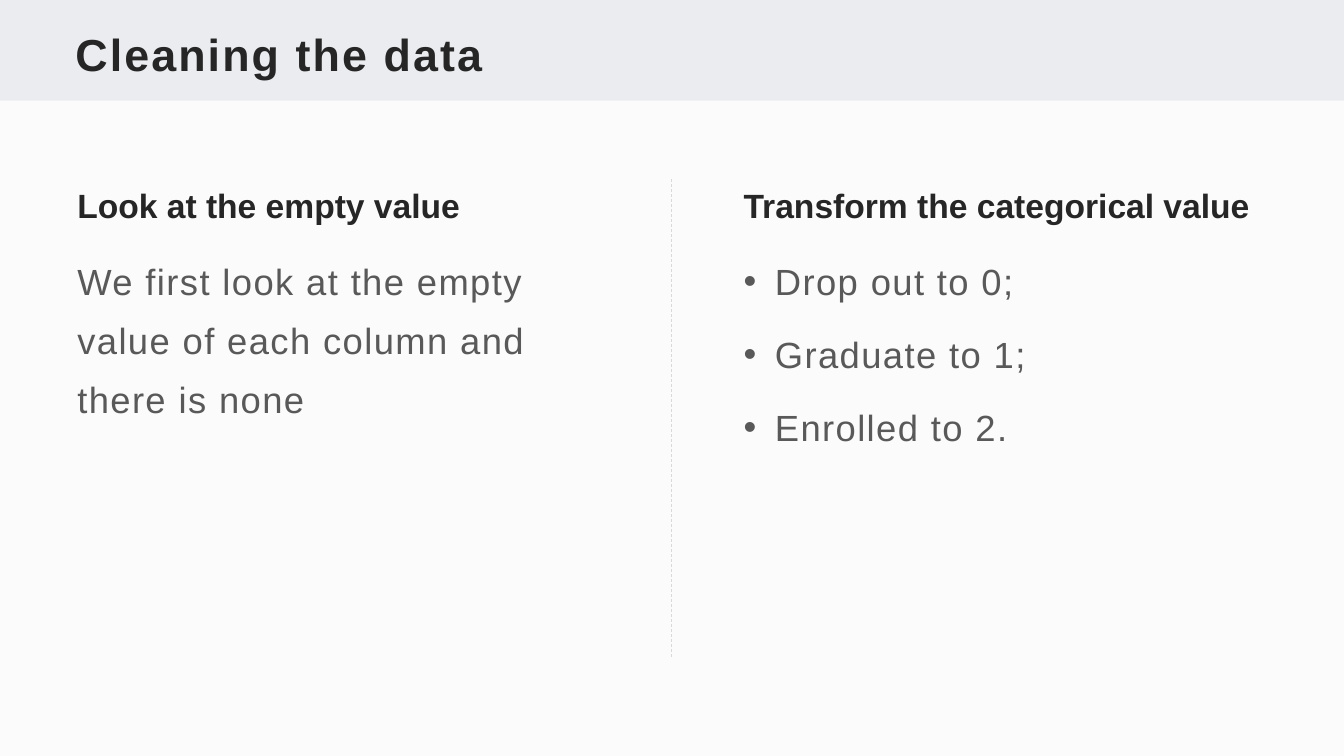
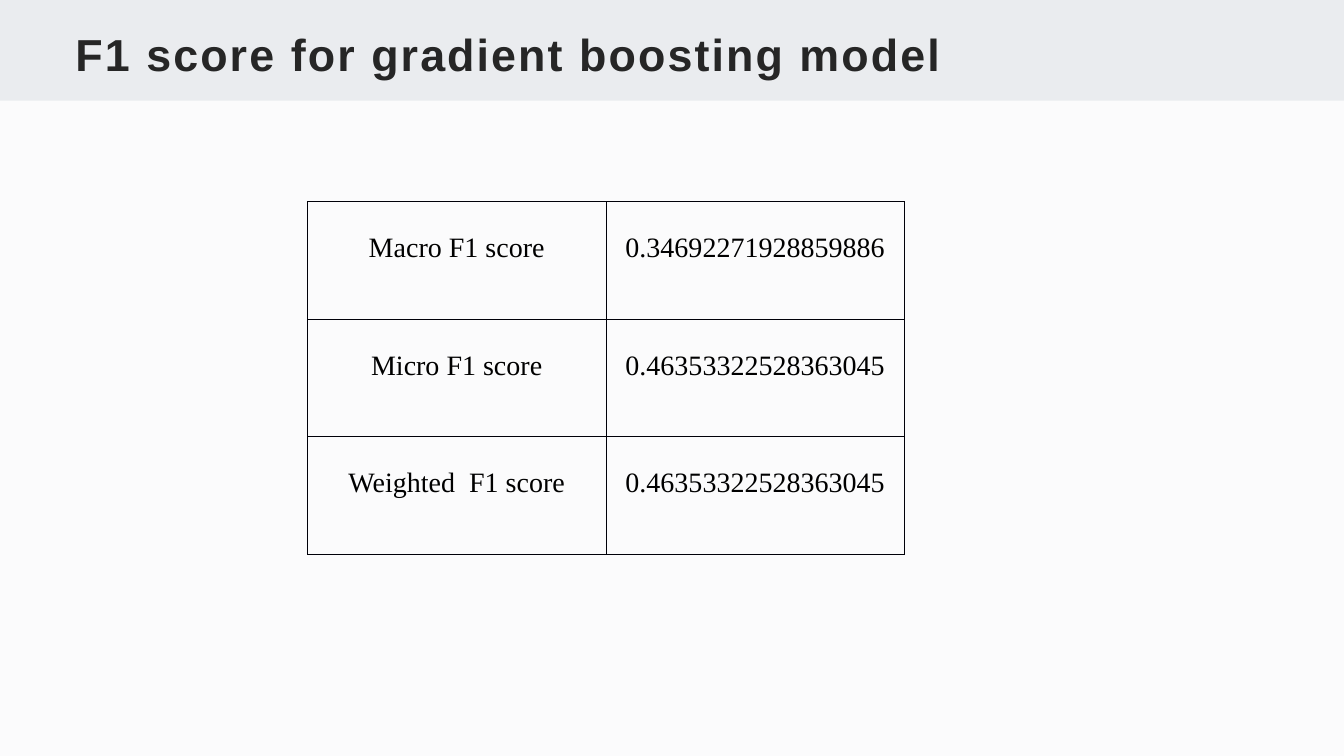
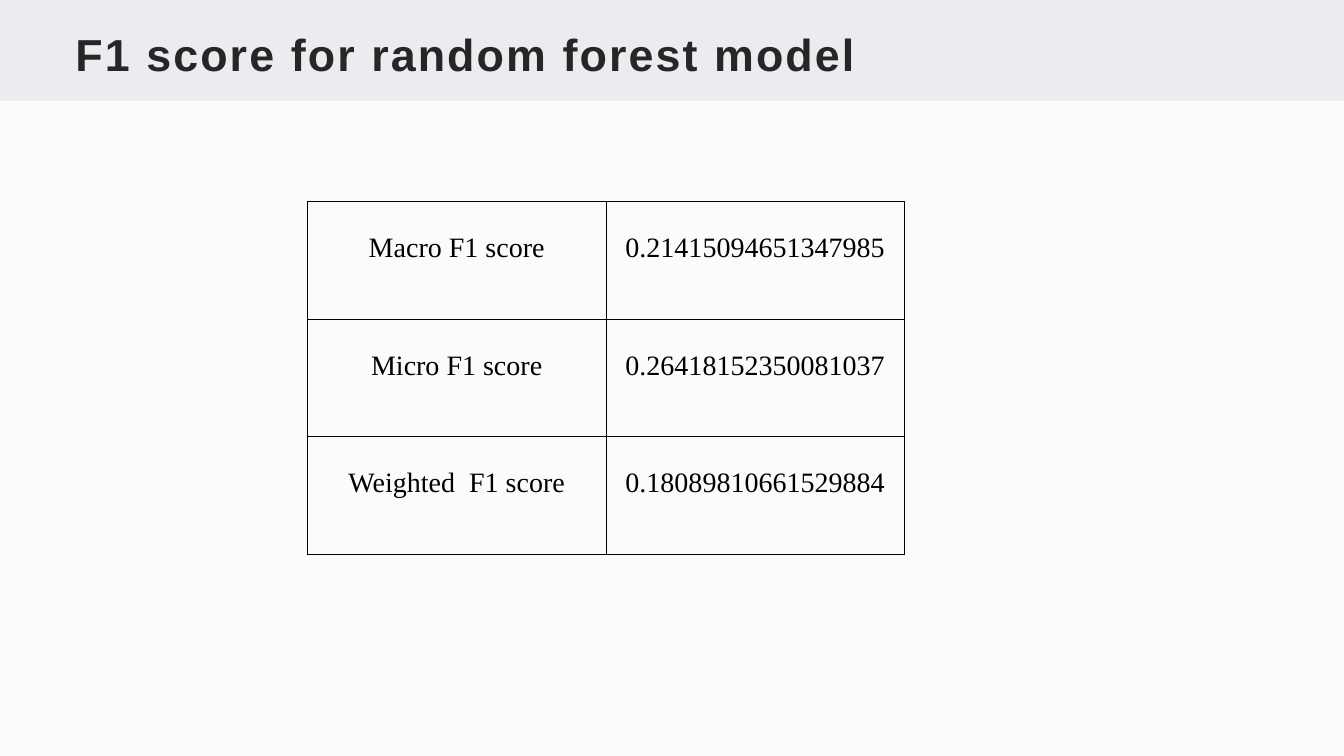
from lxml.etree import SubElement
from pptx import Presentation
from pptx.dml.color import RGBColor
from pptx.enum.dml import MSO_LINE
from pptx.enum.shapes import MSO_CONNECTOR, MSO_SHAPE
from pptx.enum.text import MSO_ANCHOR, PP_ALIGN
from pptx.oxml.ns import qn
from pptx.util import Cm, Pt

BACKGROUND, BAND, RULE = "FBFBFC", "EAECEF", "D9D9D9"
DARK, GREY, BLACK, BORDER = "262626", "595959", "000000", "000008"


def rgb(value):
    return RGBColor.from_string(value)


def write(p, text, size, color, font="Arial", bold=False, spacing=0):
    r = p.add_run()
    r.text = text
    r.font.name = font
    r.font.size = Pt(size)
    r.font.bold = bold
    r.font.color.rgb = rgb(color)
    if spacing:
        r.font._element.set("spc", str(int(spacing * 100)))


prs = Presentation()
prs.slide_width, prs.slide_height = Cm(33.87), Cm(19.05)
fill = prs.slide_master.background.fill
fill.solid()
fill.fore_color.rgb = rgb(BACKGROUND)

titles = [
    "Cleaning the data",
    "F1 score for gradient boosting model",
    "F1 score for random forest model",
]
slides = []
for title in titles:
    s = prs.slides.add_slide(prs.slide_layouts[6])
    slides.append(s)
    sp = s.shapes.add_shape(MSO_SHAPE.RECTANGLE, 0, 0, prs.slide_width, Cm(2.54))
    sp.shadow.inherit = False
    sp.fill.solid()
    sp.fill.fore_color.rgb = rgb(BAND)
    sp.line.fill.background()
    tf = s.shapes.add_textbox(Cm(1.7), Cm(0.43), Cm(30.48), Cm(1.7)).text_frame
    tf.word_wrap = True
    tf.vertical_anchor = MSO_ANCHOR.BOTTOM
    tf.margin_left = tf.margin_right = Cm(0.2)
    tf.margin_top = tf.margin_bottom = Cm(0.1)
    write(tf.paragraphs[0], title, 32, DARK, bold=True, spacing=1.5)

s = slides[0]
columns = [
    (1.7, "Look at the empty value", False,
     ["We first look at the empty value of each column and there is none"]),
    (18.49, "Transform the categorical value", True,
     ["Drop out to 0;", "Graduate to 1;", "Enrolled to 2."]),
]
for left, heading, bulleted, lines in columns:
    tf = s.shapes.add_textbox(Cm(left), Cm(4.52), Cm(13.67), Cm(1.27)).text_frame
    tf.word_wrap = True
    tf.vertical_anchor = MSO_ANCHOR.BOTTOM
    write(tf.paragraphs[0], heading, 24, DARK, bold=True)

    tf = s.shapes.add_textbox(Cm(left), Cm(6.02), Cm(13.67), Cm(10.54)).text_frame
    tf.word_wrap = True
    for i, line in enumerate(lines):
        p = tf.add_paragraph() if i else tf.paragraphs[0]
        p.line_spacing = 1.35
        p.space_before = Pt(10)
        if bulleted:
            pPr = p._p.get_or_add_pPr()
            pPr.set("marL", str(Cm(0.79)))
            pPr.set("indent", str(-Cm(0.79)))
            SubElement(pPr, qn("a:buFont")).set("typeface", "Arial")
            SubElement(pPr, qn("a:buChar")).set("char", "•")
        write(p, line, 26, GREY, spacing=1)

divider = s.shapes.add_connector(
    MSO_CONNECTOR.STRAIGHT, Cm(16.93), Cm(4.52), Cm(16.93), Cm(16.56))
divider.line.color.rgb = rgb(RULE)
divider.line.width = Pt(0.5)
divider.line.dash_style = MSO_LINE.DASH
SubElement(divider._element.spPr, qn("a:effectLst"))

metrics = ["Macro F1 score", "Micro F1 score", "Weighted  F1 score"]
scores = [
    ["0.34692271928859886", "0.46353322528363045", "0.46353322528363045"],
    ["0.21415094651347985", "0.26418152350081037", "0.18089810661529884"],
]
for s, values in zip(slides[1:], scores):
    table = s.shapes.add_table(3, 2, Cm(7.75), Cm(5.08), Cm(15.04), Cm(8.89)).table
    table.first_row = table.horz_banding = False
    for i, row in enumerate(zip(metrics, values)):
        for j, text in enumerate(row):
            cell = table.cell(i, j)
            cell.margin_left = cell.margin_right = Cm(0.19)
            cell.margin_top = cell.margin_bottom = 0
            p = cell.text_frame.paragraphs[0]
            p.alignment = PP_ALIGN.CENTER
            p.line_spacing = 2.0
            write(p, text, 20, BLACK, font="Times New Roman")
            tcPr = cell._tc.get_or_add_tcPr()
            for side in ("lnL", "lnR", "lnT", "lnB"):
                ln = SubElement(tcPr, qn("a:" + side), w=str(Pt(0.5)))
                color = SubElement(SubElement(ln, qn("a:solidFill")), qn("a:srgbClr"))
                color.set("val", BORDER)
            cell.fill.background()

prs.save("out.pptx")
